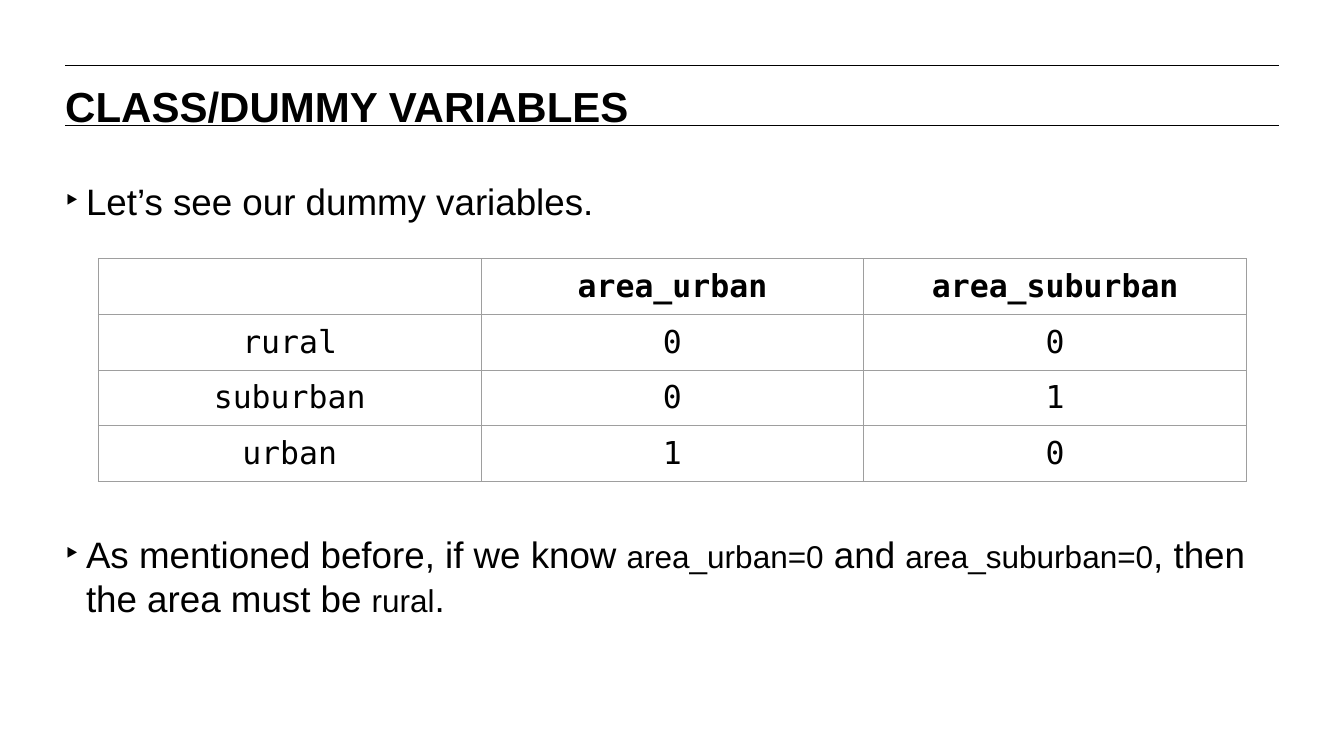
"""Builds the slide on class and dummy variables."""
from lxml.etree import SubElement
from pptx import Presentation
from pptx.dml.color import RGBColor
from pptx.enum.shapes import MSO_CONNECTOR
from pptx.enum.text import MSO_ANCHOR, MSO_AUTO_SIZE, PP_ALIGN
from pptx.oxml.ns import qn
from pptx.util import Inches, Pt

TITLE = "CLASS/DUMMY VARIABLES"
BULLETS = [
    [("Let’s see our dummy variables.", 28)],
    [
        ("As mentioned before, if we know ", 28),
        ("area_urban=0", 24),
        (" and ", 28),
        ("area_suburban=0", 24),
        (", then the area must be ", 28),
        ("rural", 24),
        (".", 28),
    ],
]
DUMMIES = [
    ("", "area_urban", "area_suburban"),
    ("rural", "0", "0"),
    ("suburban", "0", "1"),
    ("urban", "1", "0"),
]
COLORS = {"ink": "000000", "grid": "9E9E9E"}
SANS, MONO = "Arial", "DejaVu Sans Mono"
LEFT, WIDTH = 0.69, 12.84
RULE_TOPS = (0.69, 1.33)
COLUMN_WIDTH, ROW_HEIGHT = 4.05, 0.58
LINE_PITCH = 33.6
TABLE_GAP_LINES = 7
HANG = Inches(0.22)


def add_run(paragraph, words, size, face, bold=False):
    run = paragraph.add_run()
    run.text = words
    for key, value in {"size": Pt(size), "name": face, "bold": bold}.items():
        setattr(run.font, key, value)
    run.font.color.rgb = RGBColor.from_string(COLORS["ink"])


def place(holder, top, height, inset_top):
    box = {"left": LEFT, "top": top, "width": WIDTH, "height": height}
    for key, value in box.items():
        setattr(holder, key, Inches(value))
    layout = {
        "margin_left": 0,
        "margin_right": 0,
        "margin_top": Inches(inset_top),
        "margin_bottom": 0,
        "vertical_anchor": MSO_ANCHOR.TOP,
        "word_wrap": True,
        "auto_size": MSO_AUTO_SIZE.NONE,
    }
    for key, value in layout.items():
        setattr(holder.text_frame, key, value)
    return holder.text_frame


def add_rule(slide, top):
    rule = slide.shapes.add_connector(
        MSO_CONNECTOR.STRAIGHT,
        Inches(LEFT), Inches(top), Inches(LEFT + WIDTH), Inches(top),
    )
    rule.line.width = Pt(0.75)
    rule.line.color.rgb = RGBColor.from_string(COLORS["ink"])
    SubElement(rule._element.spPr, qn("a:effectLst"))


def add_bullets(frame):
    for index, pieces in enumerate(BULLETS):
        paragraph = frame.add_paragraph() if index else frame.paragraphs[0]
        spacing = {
            "line_spacing": Pt(LINE_PITCH),
            "space_before": Pt(LINE_PITCH * TABLE_GAP_LINES * index),
            "space_after": Pt(0),
        }
        for key, value in spacing.items():
            setattr(paragraph, key, value)
        properties = paragraph._p.get_or_add_pPr()
        properties.set("marL", str(HANG))
        properties.set("indent", str(-HANG))
        SubElement(properties, qn("a:buFont"), typeface=SANS)
        SubElement(properties, qn("a:buChar"), char="‣")
        for words, size in pieces:
            add_run(paragraph, words, size, SANS)


def draw_borders(cell):
    properties = cell._tc.get_or_add_tcPr()
    for side in ("lnL", "lnR", "lnT", "lnB"):
        border = SubElement(properties, qn(f"a:{side}"), w=str(Pt(0.75)))
        fill = SubElement(border, qn("a:solidFill"))
        SubElement(fill, qn("a:srgbClr"), val=COLORS["grid"])


def add_dummies(slide):
    rows, columns = len(DUMMIES), len(DUMMIES[0])
    table = slide.shapes.add_table(
        rows, columns, Inches(1.04), Inches(2.74),
        Inches(COLUMN_WIDTH * columns), Inches(ROW_HEIGHT * rows),
    ).table
    table.first_row = table.horz_banding = False
    margins = ("margin_left", "margin_right", "margin_top", "margin_bottom")
    for row, labels in enumerate(DUMMIES):
        for column, label in enumerate(labels):
            cell = table.cell(row, column)
            for margin in margins:
                setattr(cell, margin, Inches(0.1))
            draw_borders(cell)
            cell.fill.background()
            if label:
                paragraph = cell.text_frame.paragraphs[0]
                paragraph.alignment = PP_ALIGN.CENTER
                add_run(paragraph, label, 24, MONO, bold=row == 0)


def main():
    deck = Presentation()
    deck.slide_width, deck.slide_height = Inches(14.22), Inches(7.99)
    slide = deck.slides.add_slide(deck.slide_layouts[1])
    for top in RULE_TOPS:
        add_rule(slide, top)
    heading = place(slide.shapes.title, 0.81, 0.55, 0.04).paragraphs[0]
    heading.alignment = PP_ALIGN.LEFT
    add_run(heading, TITLE, 32, SANS, bold=True)
    add_bullets(place(slide.placeholders[1], 1.41, 5.3, 0.48))
    add_dummies(slide)
    deck.save("out.pptx")


if __name__ == "__main__":
    main()
